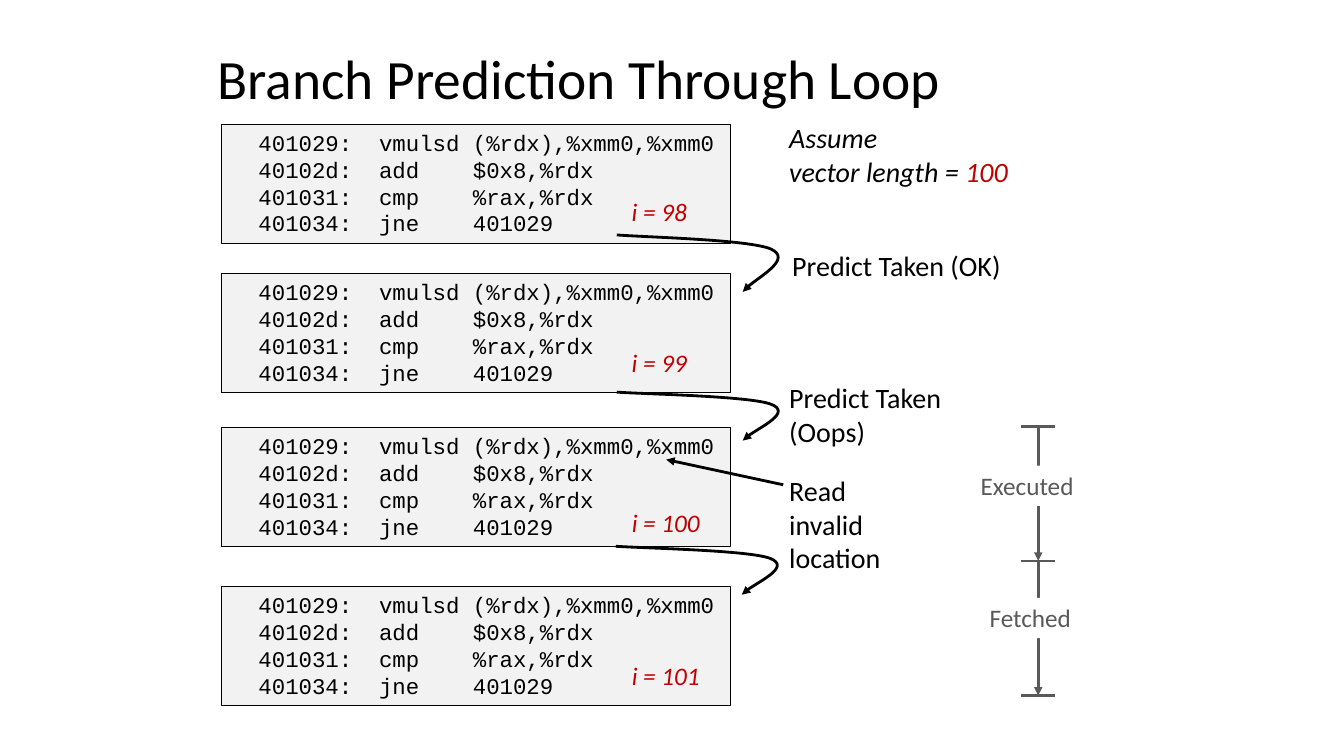
from lxml import etree
from pptx import Presentation
from pptx.dml.color import RGBColor
from pptx.enum.shapes import MSO_CONNECTOR as CONN, MSO_SHAPE as SHAPE
from pptx.enum.text import MSO_ANCHOR as ANCHOR, MSO_AUTO_SIZE as AUTO
from pptx.oxml.ns import qn
from pptx.util import Pt

BLACK = RGBColor(0x00, 0x00, 0x00)
WHITE = RGBColor(0xFF, 0xFF, 0xFF)
PALE = RGBColor(0xF2, 0xF2, 0xF2)
RED = RGBColor(0xC0, 0x00, 0x00)
GRAY = RGBColor(0x59, 0x59, 0x59)

LOOP_CODE = [
    "  401029:  vmulsd (%rdx),%xmm0,%xmm0",
    "  40102d:  add    $0x8,%rdx",
    "  401031:  cmp    %rax,%rdx",
    "  401034:  jne    401029",
]
CODE_LEFT, CODE_WIDTH, CODE_HEIGHT = 158.4, 363.6, 85
# box top, counter value, counter top, counter width
ITERATIONS = [
    (88.6, 98, 136.8, 54.7),
    (195.1, 99, 244.8, 54.7),
    (305.3, 100, 358.6, 64.1),
    (419, 101, 468, 64.1),
]
# left, top, height of each jump to the next iteration
JUMPS = [(440.6, 167.8, 40.7), (440.6, 280.1, 34.6), (439.9, 390.2, 34.6)]
# Bezier points of a jump: x in points, y as a share of the height
JUMP_CURVE = [(0, 0), (18.7, 0.04), (95, 0.08), (110.2, 0.25),
              (125.3, 0.42), (94.3, 0.84), (90, 1)]


def set_text(s, lines, size, color=BLACK, font="Calibri", italic=False, wrap=False):
    tf = s.text_frame
    tf.word_wrap = wrap
    tf.auto_size = AUTO.SHAPE_TO_FIT_TEXT
    tf.text = "\n".join(lines)
    for p in tf.paragraphs:
        f = p.font
        f.name, f.size, f.italic = font, Pt(size), italic
        f.color.rgb = color
    return tf


def add_text(slide, box, lines, size, **style):
    s = slide.shapes.add_textbox(*map(Pt, box))
    return set_text(s, lines, size, **style)


def add_rect(slide, box, fill):
    s = slide.shapes.add_shape(SHAPE.RECTANGLE, *map(Pt, box))
    s.shadow.inherit = False
    s.fill.solid()
    s.fill.fore_color.rgb = fill
    s.line.fill.background()
    s.text_frame.vertical_anchor = ANCHOR.TOP
    return s


def style_line(s, color, arrow):
    s.line.color.rgb = color
    s.line.width = Pt(2)
    if arrow:
        ln = s.line._get_or_add_ln()
        etree.SubElement(ln, qn("a:tailEnd"), type="triangle")


def add_line(slide, start, end, color, arrow=False):
    s = slide.shapes.add_connector(CONN.STRAIGHT, *map(Pt, start + end))
    style_line(s, color, arrow)
    etree.SubElement(s._element.spPr, qn("a:effectLst"))


def add_jump(slide, left, top, height):
    """Curved arrow from the end of one code box to the start of the next."""
    points = [(Pt(left + x), Pt(top + y * height)) for x, y in JUMP_CURVE]
    builder = slide.shapes.build_freeform(*points[0])
    builder.add_line_segments(points[1:], close=False)
    s = builder.convert_to_shape()
    s.shadow.inherit = False
    s.fill.background()
    style_line(s, BLACK, arrow=True)
    outline = s._element.find(".//" + qn("a:path"))
    segments = outline.findall(qn("a:lnTo"))
    for i in range(0, len(segments), 3):
        curve = etree.SubElement(outline, qn("a:cubicBezTo"))
        for segment in segments[i:i + 3]:
            curve.append(segment[0])
            outline.remove(segment)


def add_iteration(slide, box, value, value_top, value_width):
    s = add_rect(slide, box, PALE)
    s.line.color.rgb = BLACK
    s.line.width = Pt(0.75)
    tf = set_text(s, LOOP_CODE, 16, font="Courier New")
    for p in tf.paragraphs:
        p.alignment = 1
    add_text(slide, (box[0] + 285.8, value_top, value_width, 28.8),
             [f"i = {value}"], 18, color=RED, italic=True)


def add_notes_column(slide, left):
    tf = add_text(slide, (left, 82.8, 175, 55.4),
                  ["Assume", "vector length = "], 20, italic=True)
    r = tf.paragraphs[1].add_run()
    r.text = "100"
    r.font.color.rgb = RED
    add_text(slide, (left + 2.2, 174.2, 168.5, 31.7), ["Predict Taken (OK)"], 20)
    add_text(slide, (left, 268.6, 126.7, 55.4), ["Predict Taken", "(Oops)"], 20)
    add_text(slide, (left, 334.8, 102.2, 79.9), ["Read invalid location"], 20, wrap=True)
    add_line(slide, (left + 2.9, 346.3), (left - 80.7, 328.3), BLACK, arrow=True)


def add_timeline(slide, center, top, span):
    """Two stacked arrows with end ticks and a label on each."""
    ticks = [top + i * span for i in range(3)]
    for y in ticks[:2]:
        add_line(slide, (center, y), (center, y + span), GRAY, arrow=True)
    for y in ticks:
        add_line(slide, (center - 12, y), (center + 12, y), GRAY)
    labels = [("Executed", 693.4, 332.6, 81.4), ("Fetched", 699.8, 427, 73.4)]
    for text, left, label_top, width in labels:
        s = add_rect(slide, (left, label_top, width, 28.8), WHITE)
        tf = set_text(s, [text], 18, color=GRAY)
        tf.paragraphs[0].alignment = 1


def add_branch_slide(prs):
    slide = prs.slides.add_slide(prs.slide_layouts[6])
    tf = add_text(slide, (148.3, 35.3, 618.5, 45.4),
                  ["Branch Prediction Through Loop"], 39.6, wrap=True)
    tf.auto_size = AUTO.NONE
    tf.vertical_anchor = ANCHOR.MIDDLE
    tf.paragraphs[0].line_spacing = 0.9
    for top, *counter in ITERATIONS:
        add_iteration(slide, (CODE_LEFT, top, CODE_WIDTH, CODE_HEIGHT), *counter)
    for jump in JUMPS:
        add_jump(slide, *jump)
    add_notes_column(slide, 556.6)
    add_timeline(slide, 741.6, 304.6, 96.1)


def main():
    prs = Presentation()
    prs.slide_width, prs.slide_height = Pt(960), Pt(540)
    add_branch_slide(prs)
    prs.save("out.pptx")


if __name__ == "__main__":
    main()
